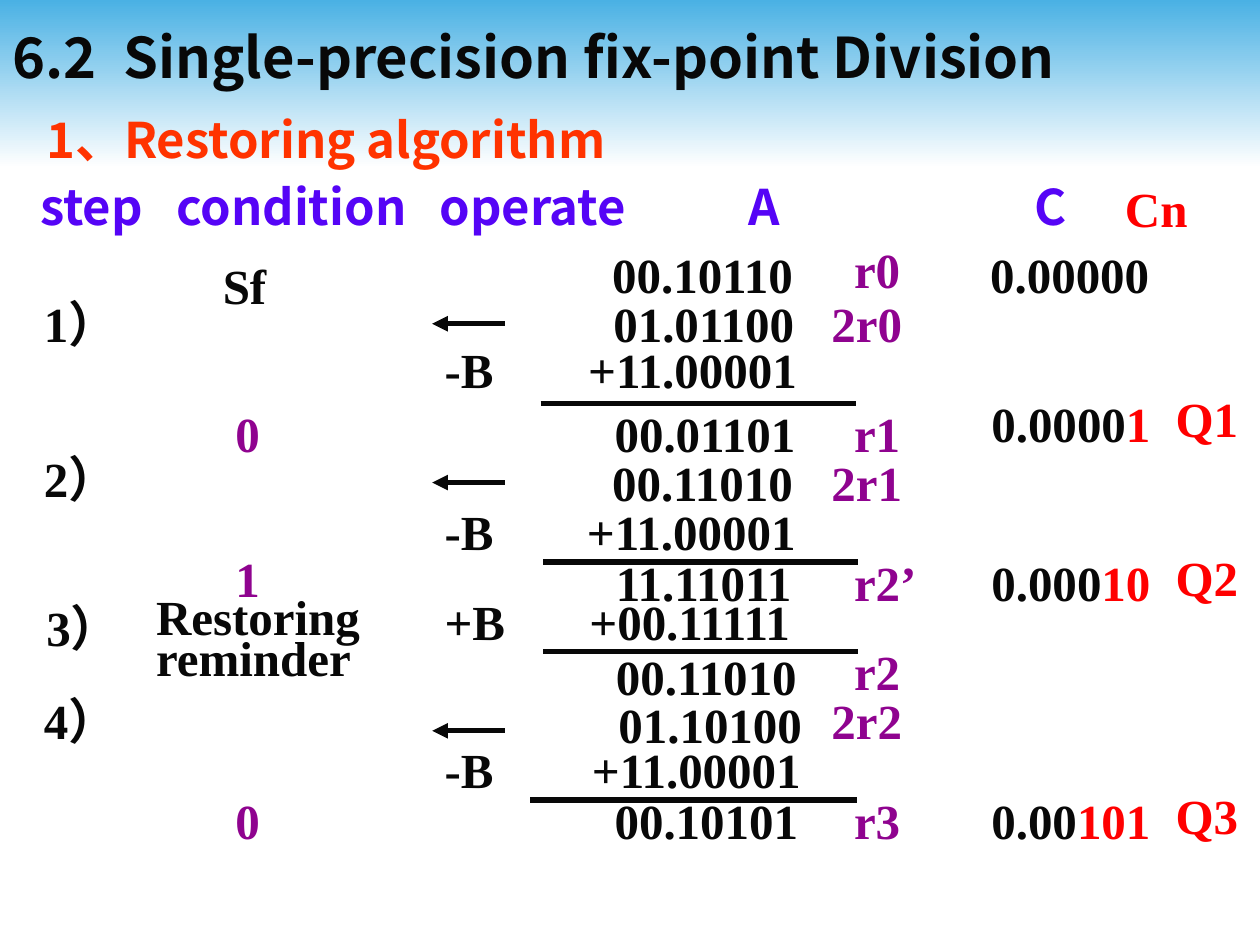
"""Build a slide that traces the restoring division algorithm step by step."""
from dataclasses import dataclass

import lxml.etree
import pptx
import pptx.dml.color
import pptx.enum.shapes
import pptx.enum.text
import pptx.oxml.ns
import pptx.util

Inches = pptx.util.Inches
Pt = pptx.util.Pt
qn = pptx.oxml.ns.qn

COLORS = {
    "ink": "080808",
    "orange": "FF3300",
    "blue": "5504F6",
    "purple": "8F038F",
    "red": "FF0000",
    "sky": "4AB1E4",
    "white": "FFFFFF",
}
SANS, SERIF, ASIAN = "Noto Sans CJK JP", "Times New Roman", "Noto Sans CJK SC"
STEP_X, FLAG_X, OPERATE_X = 0.25, 1.77, 3.43
REMAINDER_X, DOUBLED_X, QUOTIENT_X, DIGIT_X = 6.68, 6.5, 7.77, 9.33


@dataclass
class Label:
    text: str
    x: float
    y: float
    w: float = 1.17
    color: str = "ink"


@dataclass
class Quotient:
    known: str
    new: str
    name: str
    y: float


@dataclass
class Rule:
    x1: float
    x2: float
    y: float
    arrow: bool = False


SUMS = [
    Label("01.01100", 4.77, 2.41, 1.7),
    Label("+11.00001", 4.57, 2.77, 1.9),
    Label("00.01101", 4.78, 3.28, 1.7),
    Label("00.11010", 4.76, 3.67, 1.7),
    Label("+11.00001", 4.56, 4.06, 1.9),
    Label("11.11011", 4.79, 4.46, 1.7),
    Label("+00.11111", 4.58, 4.77, 1.9),
    Label("00.11010", 4.79, 5.21, 1.7),
    Label("01.10100", 4.81, 5.59, 1.7),
    Label("+11.00001", 4.6, 5.95, 1.9),
    Label("00.10101", 4.78, 6.35, 1.7),
]
STEPS = [
    Label("1）", STEP_X, 2.41),
    Label("2）", STEP_X, 3.64),
    Label("3）", 0.27, 4.82),
    Label("4）", STEP_X, 5.56),
]
CONDITIONS = [
    Label("Sf", 1.67, 2.11),
    Label("0", FLAG_X, 3.28, 0.83, "purple"),
    Label("1", FLAG_X, 4.43, 0.83, "purple"),
    Label("Restoring reminder", 1.14, 4.73, 1.97),
    Label("0", FLAG_X, 6.35, 0.83, "purple"),
]
OPERATIONS = [
    Label(text, OPERATE_X, y, 1)
    for text, y in [("-B", 2.77), ("-B", 4.06), ("+B", 4.77), ("-B", 5.95)]
]
REMAINDERS = [
    Label(text, DOUBLED_X if text.startswith("2") else REMAINDER_X, y, 0.92, "purple")
    for text, y in [
        ("r0", 1.98), ("2r0", 2.41), ("r1", 3.28), ("2r1", 3.67),
        ("r2’", 4.46), ("r2", 5.17), ("2r2", 5.56), ("r3", 6.35),
    ]
]
QUOTIENTS = [
    Quotient("0.0000", "1", "Q1", 3.2),
    Quotient("0.000", "10", "Q2", 4.46),
    Quotient("0.00", "101", "Q3", 6.35),
]
RULES = [
    Rule(4.29, 6.79, 3.2),
    Rule(4.31, 6.81, 4.46),
    Rule(4.31, 6.81, 5.17),
    Rule(4.21, 6.8, 6.35),
    *[Rule(OPERATE_X, 4.01, y, True) for y in (2.57, 3.83, 5.8)],
]


def rgb(name: str) -> pptx.dml.color.RGBColor:
    """Return a named colour."""
    return pptx.dml.color.RGBColor.from_string(COLORS[name])


def add_text(s, text: str, x: float, y: float, w: float, h: float = 0.43, *,
             color: str = "ink", font: str = SERIF, size: float = 28,
             spacing: float = 0.7, inset: float = 0.1, tabs: tuple = (),
             middle: bool = False, extra: str = "", extra_color: str = "red") -> None:
    """Add one bold paragraph, with an optional second run in its own colour."""
    sp = s.shapes.add_textbox(Inches(x), Inches(y), Inches(w), Inches(h))
    tf = sp.text_frame
    tf.word_wrap = True
    tf.margin_left = tf.margin_right = Inches(inset)
    tf.margin_top = tf.margin_bottom = Inches(0.05)
    if middle:
        tf.vertical_anchor = pptx.enum.text.MSO_ANCHOR.MIDDLE
    p = tf.paragraphs[0]
    if tabs:
        stops = lxml.etree.SubElement(p._p.get_or_add_pPr(), qn("a:tabLst"))
        for pos in tabs:
            lxml.etree.SubElement(stops, qn("a:tab"), pos=str(Inches(pos)), algn="l")
    p.line_spacing = spacing
    for part, tone in ((text, color), (extra, extra_color)):
        if part:
            r = p.add_run()
            r.text = part
            r.font.name, r.font.size, r.font.bold = font, Pt(size), True
            r.font.color.rgb = rgb(tone)
            ea = lxml.etree.SubElement(r._r.get_or_add_rPr(), qn("a:ea"))
            ea.set("typeface", ASIAN)


def add_band(s) -> None:
    """Add the gradient band across the top."""
    sp = s.shapes.add_shape(pptx.enum.shapes.MSO_SHAPE.RECTANGLE,
                            0, 0, Inches(10), Inches(1.33))
    sp.shadow.inherit = False
    sp.line.fill.background()
    sp.fill.gradient()
    sp.fill.gradient_angle = 270
    for stop, name in zip(sp.fill.gradient_stops, ("sky", "white")):
        stop.color.rgb = rgb(name)


def add_rule(s, rule: Rule) -> None:
    """Add a sum line or a left shift arrow."""
    c = s.shapes.add_connector(pptx.enum.shapes.MSO_CONNECTOR.STRAIGHT,
                               Inches(rule.x1), Inches(rule.y),
                               Inches(rule.x2), Inches(rule.y))
    c.line.color.rgb = rgb("ink")
    c.line.width = Pt(3)
    if rule.arrow:
        lxml.etree.SubElement(c.line._get_or_add_ln(), qn("a:headEnd"), type="triangle")
    lxml.etree.SubElement(c._element.spPr, qn("a:effectLst"))


def main() -> None:
    """Build and save the slide."""
    prs = pptx.Presentation()
    prs.slide_width, prs.slide_height = Inches(10), Inches(7.5)
    s = prs.slides.add_slide(prs.slide_layouts[6])
    add_band(s)
    add_text(s, "6.2\tSingle-precision fix-point Division", 0, 0.05, 10, 0.79,
             font=SANS, size=32, spacing=1.0, tabs=(0.88,), middle=True)
    add_text(s, "1、Restoring algorithm", 0.27, 0.91, 9.53, 0.55,
             font=SANS, color="orange", spacing=0.8)
    add_text(s, "step\tcondition\toperate\tA\tC", 0.22, 1.48, 8.6, 0.5,
             font=SANS, color="blue", tabs=(1.08, 3.17, 5.62, 7.89))
    add_text(s, "Cn", 8.83, 1.37, 0.92, 0.57, color="red", spacing=1.0)
    add_text(s, "00.10110\t0.00000", 4.76, 2.02, 4.85, tabs=(3,))
    for label in STEPS + CONDITIONS + OPERATIONS + SUMS + REMAINDERS:
        add_text(s, label.text, label.x, label.y, label.w, color=label.color)
    for q in QUOTIENTS:
        add_text(s, q.known, QUOTIENT_X, q.y, 1.5, extra=q.new)
        add_text(s, q.name, DIGIT_X, q.y, 0.59, 0.38, color="red", spacing=0.6, inset=0)
    for rule in RULES:
        add_rule(s, rule)
    prs.save("out.pptx")


if __name__ == "__main__":
    main()
